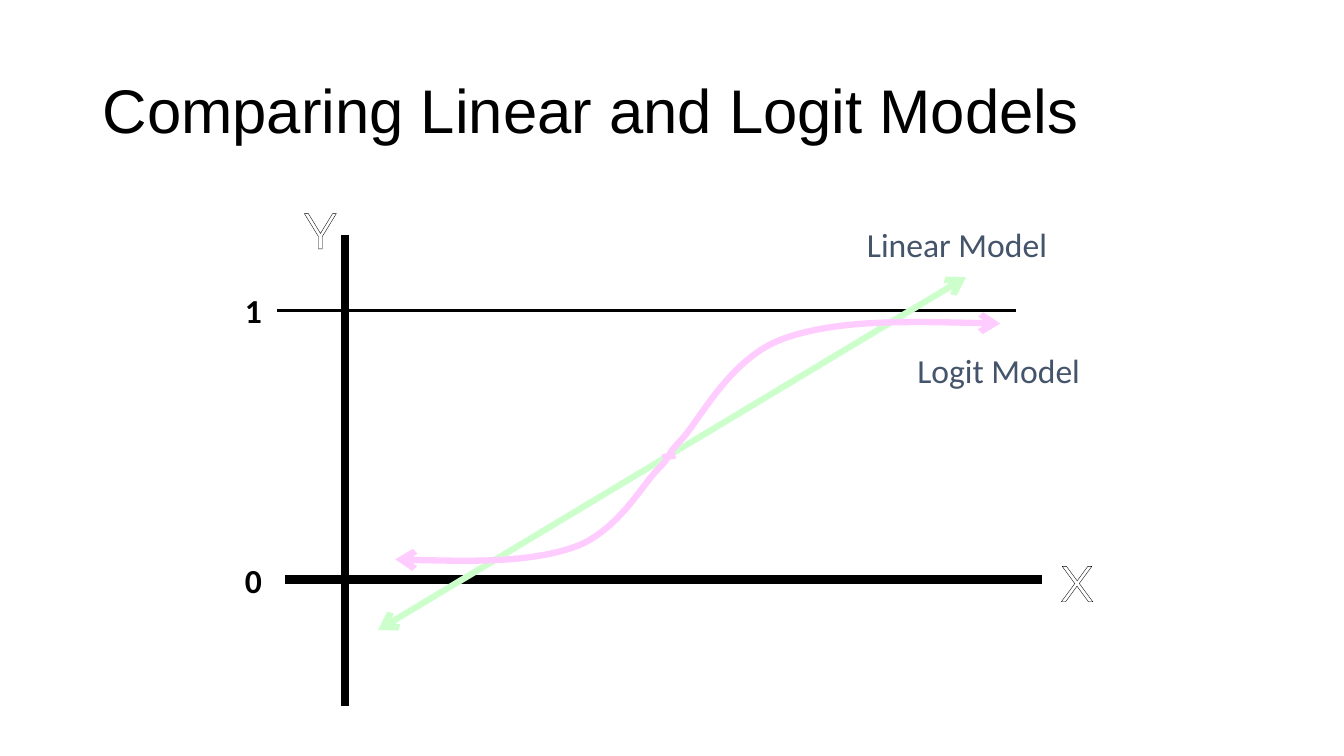
"""Build a slide that compares a linear model with a logit model."""
from lxml.etree import SubElement
from pptx import Presentation
from pptx.dml.color import RGBColor
from pptx.enum.shapes import MSO_CONNECTOR
from pptx.enum.text import MSO_ANCHOR, PP_ALIGN
from pptx.oxml.ns import qn
from pptx.util import Inches, Pt

BLACK = RGBColor(0x00, 0x00, 0x00)
WHITE = RGBColor(0xFF, 0xFF, 0xFF)
SLATE = RGBColor(0x44, 0x54, 0x6A)
GREEN = RGBColor(0xCC, 0xFF, 0xCC)
PINK = RGBColor(0xFF, 0xCC, 0xFF)

TITLE = "Comparing Linear and Logit Models"
AXES = [
    ((3.42, 2.33), (3.42, 7), 6),
    ((2.83, 5.75), (10.33, 5.75), 6),
    ((2.75, 3.08), (10.08, 3.08), 2.25),
]
LINEAR_MODEL = ((3.75, 6.25), (9.58, 2.75))
LOGIT_UPPER = [
    (9.92, 3.21),
    (9.11, 3.19), (8.3, 3.17), (7.77, 3.36),
    (7.24, 3.55), (6.94, 4.17), (6.76, 4.36),
    (6.58, 4.55), (6.64, 4.53), (6.7, 4.52),
]
LOGIT_LOWER = [
    (3.92, 5.55),
    (4.58, 5.57), (5.25, 5.58), (5.69, 5.43),
    (6.12, 5.28), (6.37, 4.81), (6.52, 4.66),
    (6.67, 4.51), (6.62, 4.52), (6.57, 4.54),
]
TICKS = [("0", (2.33, 5.51, 0.37, 0.5)), ("1", (2.33, 2.83, 0.37, 0.5))]
AXIS_NAMES = [("X", (10.42, 5.42, 0.39, 0.71)), ("Y", (2.92, 1.92, 0.39, 0.71))]
MODEL_NAMES = [
    ("Linear Model", (8.5, 2.17, 2.01, 0.5)),
    ("Logit Model", (9, 3.42, 1.83, 0.51)),
]


def add_text(page, text, area, size, font, color, bold=False):
    box = page.shapes.add_textbox(*map(Inches, area))
    box.text_frame.word_wrap = False
    para = box.text_frame.paragraphs[0]
    para.add_run().text = text
    para.font.size = Pt(size)
    para.font.name = font
    para.font.bold = bold
    para.font.color.rgb = color
    return box


def add_title(page):
    frame = add_text(page, TITLE, (0.92, 0.4, 11.5, 1.45), 44, "Arial", BLACK).text_frame
    frame.word_wrap = True
    frame.vertical_anchor = MSO_ANCHOR.MIDDLE
    frame.paragraphs[0].line_spacing = 0.9


def add_axis_name(page, text, area):
    para = add_text(page, text, area, 36, "Montserrat", WHITE).text_frame.paragraphs[0]
    para.alignment = PP_ALIGN.CENTER
    outline = SubElement(para.runs[0].font._element, qn("a:ln"), w=str(Pt(0.75)))
    fill = SubElement(outline, qn("a:solidFill"))
    SubElement(fill, qn("a:srgbClr"), val=str(BLACK))


def style_line(line, color, width, *arrow_ends):
    line.color.rgb = color
    line.width = Pt(width)
    for end in arrow_ends:
        SubElement(line._get_or_add_ln(), qn(f"a:{end}"), type="arrow")


def add_line(page, start, finish, color, width, *arrow_ends):
    points = map(Inches, start + finish)
    connector = page.shapes.add_connector(MSO_CONNECTOR.STRAIGHT, *points)
    style_line(connector.line, color, width, *arrow_ends)
    SubElement(connector._element.spPr, qn("a:effectLst"))


def add_curve(page, points):
    """Draw a chain of cubic curves: a start, then three points per curve."""
    start, *rest = [(Inches(x), Inches(y)) for x, y in points]
    builder = page.shapes.build_freeform(*start)
    builder.add_line_segments(rest, close=False)
    curve = builder.convert_to_shape()
    outline = next(curve._element.iter(qn("a:path")))
    segments = outline.findall(qn("a:lnTo"))
    for first in range(0, len(segments), 3):
        cubic = SubElement(outline, qn("a:cubicBezTo"))
        for segment in segments[first:first + 3]:
            cubic.append(segment[0])
            outline.remove(segment)
    curve.fill.background()
    style_line(curve.line, PINK, 4.5, "headEnd")
    curve.shadow.inherit = False


def main():
    deck = Presentation()
    deck.slide_width, deck.slide_height = Inches(13.33), Inches(7.5)
    page = deck.slides.add_slide(deck.slide_layouts[6])
    add_title(page)
    for start, finish, width in AXES:
        add_line(page, start, finish, BLACK, width)
    for text, area in TICKS:
        add_text(page, text, area, 24, "Calibri", BLACK, bold=True)
    add_line(page, *LINEAR_MODEL, GREEN, 4.5, "headEnd", "tailEnd")
    for text, area in AXIS_NAMES:
        add_axis_name(page, text, area)
    for points in (LOGIT_UPPER, LOGIT_LOWER):
        add_curve(page, points)
    for text, area in MODEL_NAMES:
        add_text(page, text, area, 24, "Calibri", SLATE)
    deck.save("out.pptx")


if __name__ == "__main__":
    main()
